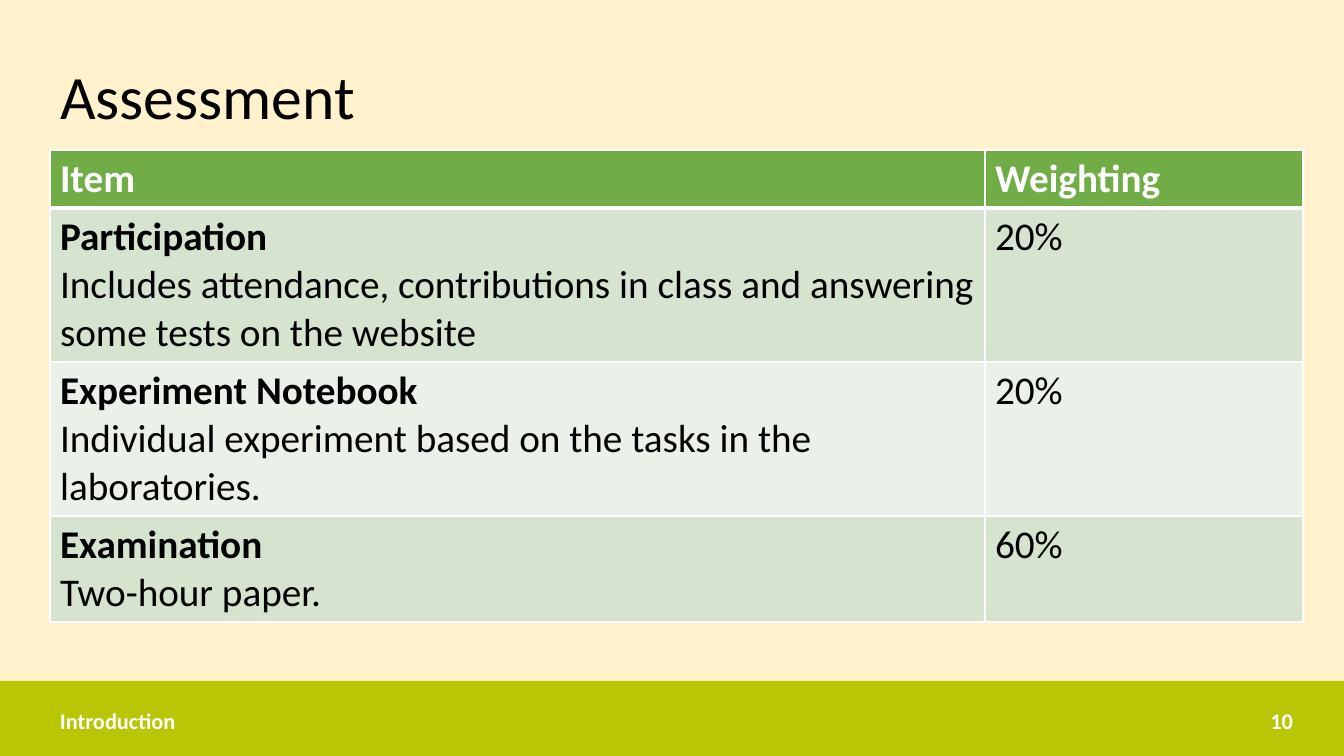
from lxml.etree import SubElement
from pptx import Presentation
from pptx.dml.color import RGBColor
from pptx.enum.shapes import MSO_SHAPE
from pptx.enum.text import MSO_ANCHOR as ANCHOR, PP_ALIGN as ALIGN
from pptx.oxml.ns import qn
from pptx.util import Pt

PX = 914400 / 100.8
FONT = "Calibri"
CREAM = RGBColor(0xFF, 0xF2, 0xCC)
LIME = RGBColor(0xB8, 0xC6, 0x05)
GREEN = RGBColor(0x70, 0xAD, 0x47)
BANDS = [RGBColor(0xD5, 0xE3, 0xCF), RGBColor(0xEB, 0xF1, 0xE9)]
WHITE = RGBColor(0xFF, 0xFF, 0xFF)
BLACK = RGBColor(0x00, 0x00, 0x00)

HEADINGS = ["Item", "Weighting"]
ASSESSMENTS = [
    ("Participation",
     "Includes attendance, contributions in class and answering some tests on the website",
     "20%"),
    ("Experiment Notebook",
     "Individual experiment based on the tasks in the laboratories.",
     "20%"),
    ("Examination", "Two-hour paper.", "60%"),
]
COLUMN_WIDTHS = [935, 318]
ROW_HEIGHTS = [58, 154, 154, 106]


def px(*lengths):
    return [round(length * PX) for length in lengths]


def add_run(paragraph, text, size, color, bold=False):
    run = paragraph.add_run()
    run.text = text
    run.font.name = FONT
    run.font.size = Pt(size)
    run.font.bold = bold
    run.font.color.rgb = color


def add_title(slide, box, text):
    title = slide.shapes.title
    title.left, title.top, title.width, title.height = px(*box)
    frame = title.text_frame
    frame.word_wrap = True
    frame.vertical_anchor = ANCHOR.MIDDLE
    heading = frame.paragraphs[0]
    heading.alignment = ALIGN.LEFT
    heading.line_spacing = 0.9
    add_run(heading, text, 44, BLACK)


def set_borders(cell, top, bottom):
    properties = cell._tc.get_or_add_tcPr()
    for side, width in (("L", 1), ("R", 1), ("T", top), ("B", bottom)):
        line = SubElement(properties, qn(f"a:ln{side}"), w=str(Pt(width)))
        fill = SubElement(line, qn("a:solidFill"))
        SubElement(fill, qn("a:srgbClr"), val=str(WHITE))


def fill_cell(cell, lines, fill, color, top=1, bottom=1):
    set_borders(cell, top, bottom)
    cell.fill.solid()
    cell.fill.fore_color.rgb = fill
    frame = cell.text_frame
    for index, (text, bold) in enumerate(lines):
        paragraph = frame.add_paragraph() if index else frame.paragraphs[0]
        add_run(paragraph, text, 28, color, bold)


def add_assessment_table(slide, left, top):
    box = px(left, top, sum(COLUMN_WIDTHS), sum(ROW_HEIGHTS))
    table = slide.shapes.add_table(len(ROW_HEIGHTS), len(COLUMN_WIDTHS), *box).table
    for column, width in zip(table.columns, px(*COLUMN_WIDTHS)):
        column.width = width
    for row, height in zip(table.rows, px(*ROW_HEIGHTS)):
        row.height = height
    for column, heading in enumerate(HEADINGS):
        fill_cell(table.cell(0, column), [(heading, True)], GREEN, WHITE, bottom=3)
    for row, (item, details, weighting) in enumerate(ASSESSMENTS, 1):
        band = BANDS[(row - 1) % 2]
        rule = 3 if row == 1 else 1
        fill_cell(table.cell(row, 0), [(item, True), (details, False)], band, BLACK, top=rule)
        fill_cell(table.cell(row, 1), [(weighting, False)], band, BLACK, top=rule)


def add_footer(slide, box, section, number):
    left, top, width, height = box
    band = slide.shapes.add_shape(MSO_SHAPE.RECTANGLE, *px(*box))
    band.shadow.inherit = False
    band.fill.solid()
    band.fill.fore_color.rgb = LIME
    band.line.fill.background()
    for text, x, label_width, alignment in (
        (section, left + 50, 624, ALIGN.LEFT),
        (number, left + width - 395, 354, ALIGN.RIGHT),
    ):
        label = slide.shapes.add_textbox(*px(x, top + 20, label_width, 40))
        frame = label.text_frame
        frame.word_wrap = True
        frame.vertical_anchor = ANCHOR.MIDDLE
        frame.paragraphs[0].alignment = alignment
        add_run(frame.paragraphs[0], text, 16, WHITE, True)


def main():
    deck = Presentation()
    deck.slide_width, deck.slide_height = px(1344, 756)
    slide = deck.slides.add_slide(deck.slide_layouts[5])
    slide.background.fill.solid()
    slide.background.fill.fore_color.rgb = CREAM
    add_title(slide, (50, 27, 1253, 146), "Assessment")
    add_assessment_table(slide, 50, 150)
    add_footer(slide, (0, 681, 1344, 75), "Introduction", "10")
    deck.save("out.pptx")


if __name__ == "__main__":
    main()
